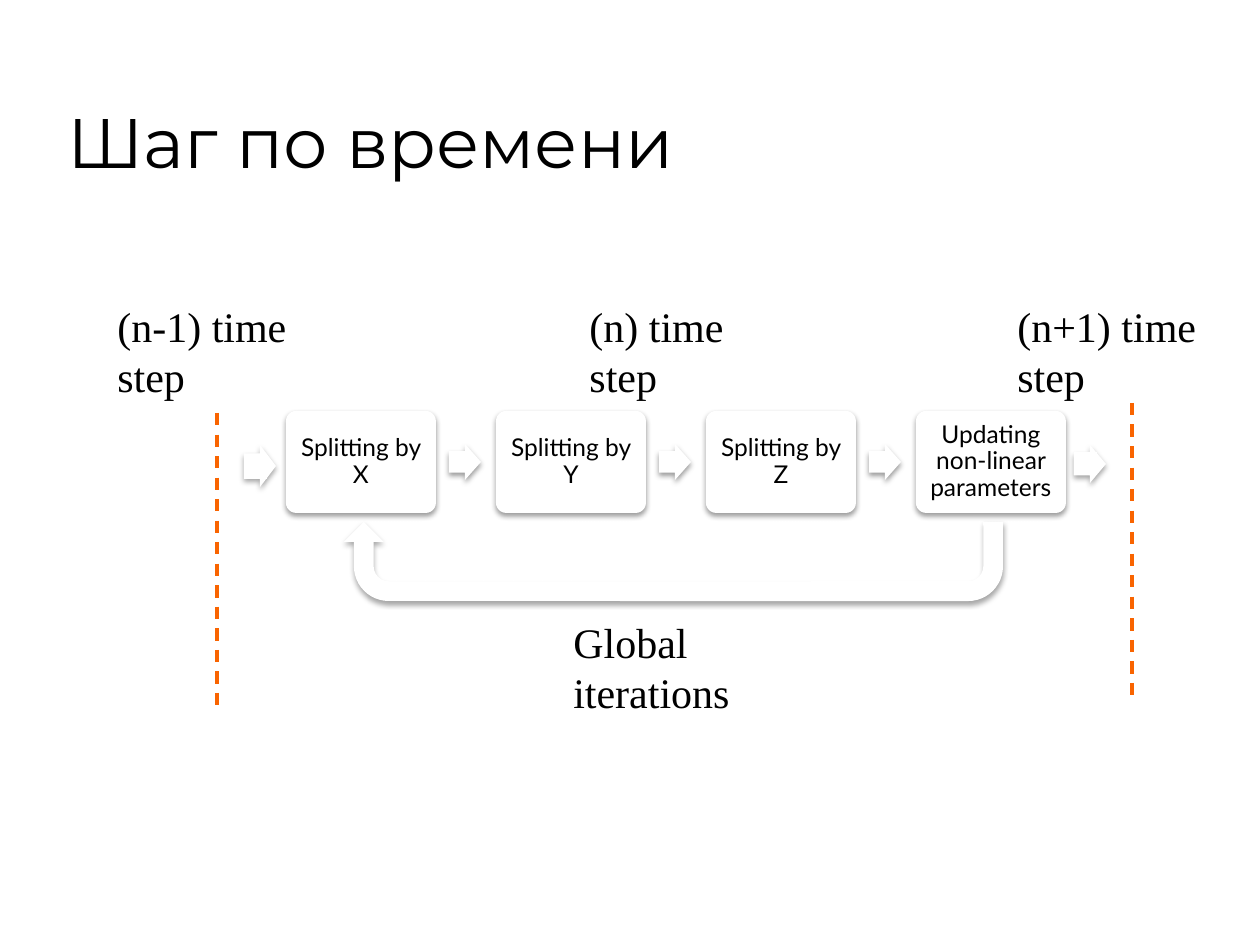
"""Build the time step slide: splitting stages inside one global iteration loop."""
from typing import NamedTuple

from lxml import etree
from pptx import Presentation
from pptx.dml.color import RGBColor
from pptx.enum.dml import MSO_LINE
from pptx.enum.shapes import MSO_CONNECTOR, MSO_SHAPE
from pptx.enum.text import MSO_ANCHOR, MSO_AUTO_SIZE, PP_ALIGN
from pptx.oxml.ns import qn
from pptx.util import Emu, Pt

WHITE = RGBColor(0xFF, 0xFF, 0xFF)
BLACK = RGBColor(0x00, 0x00, 0x00)
ORANGE = RGBColor(0xF9, 0x64, 0x00)
ROUND, RECT = MSO_SHAPE.ROUNDED_RECTANGLE, MSO_SHAPE.RECTANGLE
ARROW, UTURN = MSO_SHAPE.RIGHT_ARROW, MSO_SHAPE.U_TURN_ARROW
STRAIGHT, DASH = MSO_CONNECTOR.STRAIGHT, MSO_LINE.DASH
TOP, MIDDLE, BOTTOM = MSO_ANCHOR.TOP, MSO_ANCHOR.MIDDLE, MSO_ANCHOR.BOTTOM
GROW, CENTER = MSO_AUTO_SIZE.SHAPE_TO_FIT_TEXT, PP_ALIGN.CENTER
PX = 914400 / 126
STAGE_PITCH = 210


class Box(NamedTuple):
    x: int
    y: int
    w: int
    h: int

    def emu(self) -> list[Emu]:
        return [px(v) for v in self]


class Shadow(NamedTuple):
    alpha: int
    dist: float


class Label(NamedTuple):
    text: str
    box: Box


class Boundary(NamedTuple):
    x: int
    top: int
    bottom: int


class SideArrow(NamedTuple):
    head: Box
    tail: Box


STAGE_SHADOW = Shadow(38, 1.6)
LOOP_SHADOW = Shadow(35, 1.8)
TITLE = Label("Шаг по времени", Box(55, 32, 1071, 157))
STAGES = ["Splitting by X", "Splitting by Y", "Splitting by Z", "Updating non-linear parameters"]
LABELS = [
    Label("(n-1) time step", Box(105, 294, 253, 50)),
    Label("(n) time step", Box(577, 294, 210, 50)),
    Label("(n+1) time step", Box(1005, 294, 255, 50)),
    Label("Global iterations", Box(561, 610, 262, 50)),
]
SIDE_ARROWS = [
    SideArrow(Box(244, 445, 32, 42), Box(244, 454, 23, 25)),
    SideArrow(Box(1074, 445, 32, 38), Box(1074, 452, 23, 23)),
]
BOUNDARIES = [Boundary(217, 413, 707), Boundary(1132, 403, 698)]
LOOP = Box(344, 522, 659, 79)


def px(value: int) -> Emu:
    return Emu(round(value * PX))


def add_shadow(sp, shadow: Shadow) -> None:
    effects = sp._element.spPr.find(qn("a:effectLst"))
    outer = etree.SubElement(
        effects, qn("a:outerShdw"), blurRad=str(Pt(3.1)), dist=str(Pt(shadow.dist)),
        dir="5400000", rotWithShape="0")
    color = etree.SubElement(outer, qn("a:srgbClr"), val=str(BLACK))
    etree.SubElement(color, qn("a:alpha"), val=str(shadow.alpha * 1000))


def add_white(s, kind, box: Box, adj: tuple = (), shadow: Shadow | None = None):
    sp = s.shapes.add_shape(kind, *box.emu())
    sp.fill.solid()
    sp.fill.fore_color.rgb = WHITE
    sp.line.fill.background()
    sp.shadow.inherit = False
    for i, value in enumerate(adj):
        sp.adjustments[i] = value
    if shadow:
        add_shadow(sp, shadow)
    return sp


def set_text(sp, text: str, font: str, size: int, anchor) -> None:
    tf = sp.text_frame
    tf.text = text
    tf.word_wrap = True
    tf.vertical_anchor = anchor
    f = tf.paragraphs[0].runs[0].font
    f.name, f.size, f.color.rgb = font, Pt(size), BLACK


def add_text(s, label: Label, font: str, size: int, anchor):
    sp = s.shapes.add_textbox(*label.box.emu())
    set_text(sp, label.text, font, size, anchor)
    return sp


def add_stage(s, index: int, text: str) -> None:
    box = Box(286 + index * STAGE_PITCH, 411, 150, 102)
    sp = add_white(s, ROUND, box, (0.1,), STAGE_SHADOW)
    set_text(sp, text, "Lato", 14, MIDDLE)
    tf = sp.text_frame
    tf.margin_left = tf.margin_right = tf.margin_top = tf.margin_bottom = px(5)
    p = tf.paragraphs[0]
    p.alignment, p.line_spacing, p.space_after = CENTER, 0.9, Pt(4.9)


def add_boundary(s, line: Boundary) -> None:
    cx = s.shapes.add_connector(
        STRAIGHT, px(line.x), px(line.top), px(line.x), px(line.bottom))
    cx.line.color.rgb = ORANGE
    cx.line.width = Pt(1.75)
    cx.line.dash_style = DASH
    etree.SubElement(cx._element.spPr, qn("a:effectLst"))


def main() -> None:
    prs = Presentation()
    prs.slide_width, prs.slide_height = px(1260), px(945)
    s = prs.slides.add_slide(prs.slide_layouts[6])
    add_text(s, TITLE, "Montserrat", 40, BOTTOM)
    for i, text in enumerate(STAGES):
        add_stage(s, i, text)
        if i < len(STAGES) - 1:
            add_white(s, ARROW, Box(449 + i * STAGE_PITCH, 444, 32, 36), (0.6, 0.5), STAGE_SHADOW)
    for arrow in SIDE_ARROWS:
        add_white(s, ARROW, arrow.head, (0.6, 0.5), LOOP_SHADOW)
        add_white(s, RECT, arrow.tail)
    for label in LABELS:
        add_text(s, label, "Times New Roman", 24, TOP).text_frame.auto_size = GROW
    for line in BOUNDARIES:
        add_boundary(s, line)
    loop = add_white(s, UTURN, LOOP, (0.25, 0.25, 0.25, 0.44, 1), LOOP_SHADOW)
    loop.rotation = 180
    prs.save("out.pptx")


if __name__ == "__main__":
    main()
